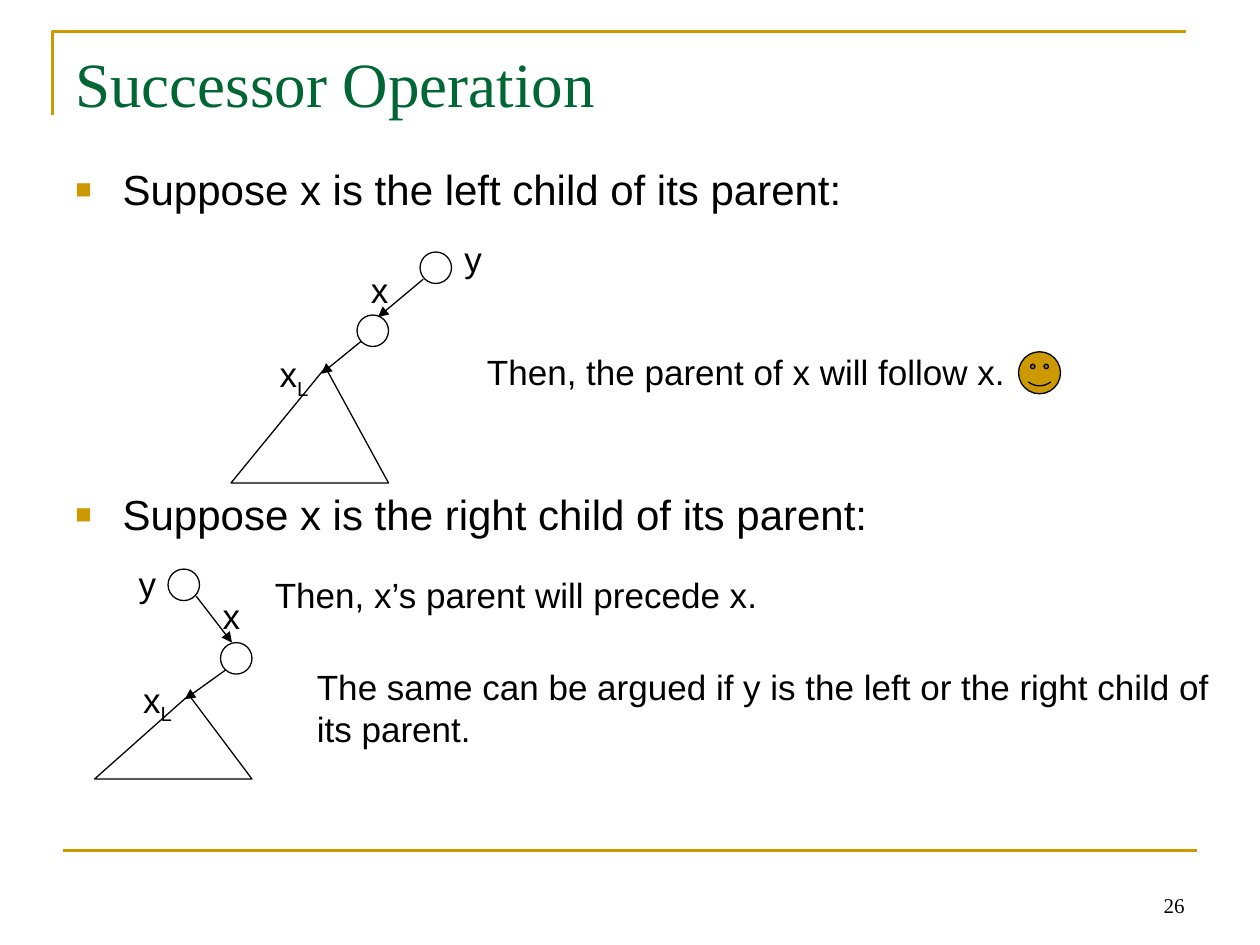
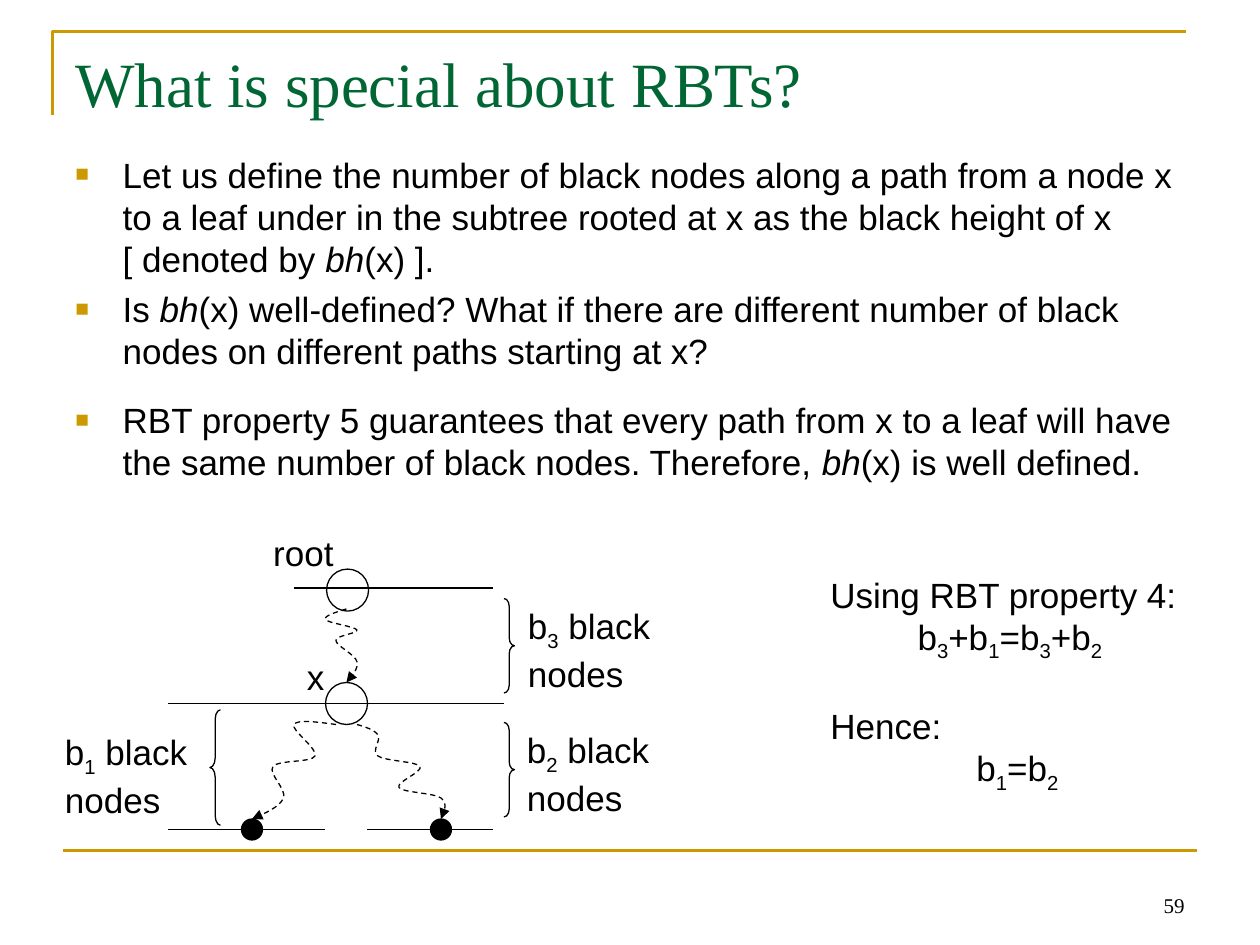
from dataclasses import dataclass

from lxml.etree import SubElement
from pptx import Presentation
from pptx.dml.color import RGBColor
from pptx.enum.dml import MSO_LINE
from pptx.enum.shapes import MSO_CONNECTOR, MSO_SHAPE
from pptx.enum.text import MSO_ANCHOR, PP_ALIGN
from pptx.oxml.ns import qn
from pptx.util import Emu, Pt

PX = 7620  # EMU per px: 120 px to the inch


@dataclass(frozen=True)
class Theme:
    ink: str = "000000"
    gold: str = "CC9900"
    green: str = "006633"
    serif: str = "Times New Roman"
    sans: str = "Arial"
    title_pt: int = 36
    head_pt: int = 24
    text_pt: int = 20
    number_pt: int = 12
    thin_pt: float = 0.75
    band_pt: float = 1.5


def px(*lengths):
    return [Emu(round(n * PX)) for n in lengths]


def smooth(knots, steps=8):
    """Points of a spline through the knots, with relaxed ends."""
    def inner(i, sign):
        (ax, ay), (bx, by), (cx, cy) = knots[i - 1:i + 2]
        return bx + sign * (cx - ax) / 6, by + sign * (cy - ay) / 6

    def middle(a, b):
        return (a[0] + b[0]) / 2, (a[1] + b[1]) / 2

    points, last = [knots[0]], len(knots) - 2
    for i, (p0, p3) in enumerate(zip(knots, knots[1:])):
        p1 = inner(i, 1) if i else middle(p0, inner(1, -1))
        p2 = inner(i + 1, -1) if i < last else middle(p1, p3)
        for k in range(1, steps + 1):
            t = k / steps
            u = 1 - t
            points.append(tuple(
                u**3 * a + 3 * u * u * t * b + 3 * u * t * t * c + t**3 * d
                for a, b, c, d in zip(p0, p1, p2, p3)))
    return points


class Deck:
    def __init__(self, theme):
        self.t = theme
        self.prs = Presentation()
        self.prs.slide_width, self.prs.slide_height = px(1200, 900)
        self.s = None

    def slide(self, title, number):
        """Start a slide with its frame, title and page number."""
        t = self.t
        self.s = self.prs.slides.add_slide(self.prs.slide_layouts[6])
        self.path_line([(50, 110), (50, 30), (1130, 30)], t.gold, t.band_pt)
        self.line((60, 810), (1140, 810), t.gold, t.band_pt)
        self.text([str(number)], (860, 820, 280, 60), t.number_pt, font=t.serif,
                  align=PP_ALIGN.RIGHT, anchor=MSO_ANCHOR.BOTTOM)
        self.text([title], (60, 36, 1080, 150), t.title_pt, font=t.serif, color=t.green)

    # Text
    def add_runs(self, p, text, size, font, color):
        """Pieces are split by |; _ starts a subscript, / italics, \\n is a break."""
        for piece in text.split("|"):
            if piece == "\n":
                p.add_line_break()
                continue
            r = p.add_run()
            r.text = piece.lstrip("_/")
            r.font.size, r.font.name = Pt(size), font
            r.font.color.rgb = RGBColor.from_string(color)
            if piece.startswith("/"):
                r.font.italic = True
            elif piece.startswith("_"):
                r.font._element.set("baseline", "-25000")

    def text(self, lines, box, size=None, font=None, color=None, wrap=True,
             align=PP_ALIGN.LEFT, anchor=MSO_ANCHOR.TOP):
        t = self.t
        tf = self.s.shapes.add_textbox(*px(*box)).text_frame
        tf.word_wrap, tf.vertical_anchor = wrap, anchor
        for i, line in enumerate(lines):
            p = tf.add_paragraph() if i else tf.paragraphs[0]
            p.alignment = align
            self.add_runs(p, line, size or t.text_pt, font or t.sans, color or t.ink)
        return tf

    def label(self, text, x, y, w=41, h=53):
        self.text([text], (x, y, w, h), wrap=False, align=PP_ALIGN.CENTER)

    def indent(self, p, left, first=0):
        left, first = px(left, first)
        pPr = p._p.get_or_add_pPr()
        pPr.set("marL", str(left))
        pPr.set("indent", str(first))
        return pPr

    def bullets(self, lines, gaps, box, size):
        tf = self.text(lines, box, size)
        for p, gap in zip(tf.paragraphs, gaps):
            pPr = self.indent(p, 45, -45)
            SubElement(SubElement(pPr, qn("a:buClr")), qn("a:srgbClr"), val=self.t.gold)
            SubElement(pPr, qn("a:buSzPct"), val="65000")
            SubElement(pPr, qn("a:buFont"), typeface=self.t.sans)
            SubElement(pPr, qn("a:buChar"), char="■")
            p.space_before = Pt(gap)

    # Lines and shapes
    def stroke(self, sp, color=None, width=None, arrow=False, dash=False):
        sp.line.color.rgb = RGBColor.from_string(color or self.t.ink)
        sp.line.width = Pt(width or self.t.thin_pt)
        if dash:
            sp.line.dash_style = MSO_LINE.DASH
        if arrow:
            SubElement(sp.line._get_or_add_ln(), qn("a:tailEnd"), type="triangle")

    def line(self, start, end, color=None, width=None, arrow=False):
        sp = self.s.shapes.add_connector(MSO_CONNECTOR.STRAIGHT, *px(*start, *end))
        self.stroke(sp, color, width, arrow)
        SubElement(sp._element.spPr, qn("a:effectLst"))

    def path_line(self, points, color=None, width=None, close=False, **ends):
        first, *rest = [px(*point) for point in points]
        builder = self.s.shapes.build_freeform(*first)
        builder.add_line_segments(rest, close=close)
        sp = builder.convert_to_shape()
        sp.shadow.inherit = False
        sp.fill.background()
        self.stroke(sp, color, width, **ends)

    def shape(self, kind, x, y, w, h, fill=None):
        sp = self.s.shapes.add_shape(kind, *px(x, y, w, h))
        sp.shadow.inherit = False
        if fill:
            sp.fill.solid()
            sp.fill.fore_color.rgb = RGBColor.from_string(fill)
        else:
            sp.fill.background()
        self.stroke(sp)
        return sp

    def circle(self, x, y, size, fill=None):
        self.shape(MSO_SHAPE.OVAL, x, y, size, size, fill)

    def brace(self, kind, x, y, h, bend):
        self.shape(kind, x, y, 10, h).adjustments[0] = bend

    def tree(self, nodes, arrows, subtree, labels):
        for x, y in nodes:
            self.circle(x, y, 30)
        for start, end in arrows:
            self.line(start, end, arrow=True)
        self.path_line(subtree, close=True)
        x_at, y_at, left_at = labels
        self.label("x", *x_at)
        self.label("y", *y_at)
        self.label("x|_L", *left_at, 52, 58)


def successor(deck):
    t = deck.t
    deck.slide("Successor Operation", 26)
    deck.bullets(["Suppose x is the left child of its parent:",
                  "Suppose x is the right child of its parent:"],
                 [0, 157], (60, 150, 1080, 594), t.head_pt)

    # x as a left child
    deck.tree(nodes=[(340, 300), (400, 240)],
              arrows=[((403, 266), (360, 302)), ((344, 325), (306, 356))],
              subtree=[(310, 350), (220, 460), (370, 460)],
              labels=[(341, 250), (430, 220), (254, 330)])
    deck.text(["Then, the parent of x will follow x."], (452, 328, 618, 53))
    deck.shape(MSO_SHAPE.SMILEY_FACE, 970, 335, 40, 40, t.gold)

    # x as a right child
    deck.tree(nodes=[(210, 612), (160, 542)],
              arrows=[((187, 568), (221, 612)), ((215, 638), (176, 666))],
              subtree=[(180, 662), (90, 742), (240, 742)],
              labels=[(200, 560), (120, 530), (124, 640)])
    deck.text(["Then, x’s parent will precede x."], (250, 540, 490, 53))
    deck.text(["The same can be argued if y is the left or the right child of its parent."],
              (290, 628, 880, 92))


def black_height(deck):
    t = deck.t
    deck.slide("What is special about RBTs?", 59)
    deck.bullets([
        "Let us define the number of black nodes along a path from a node x to a leaf "
        "under in the subtree rooted at x as the black height of x|\n|"
        "[ denoted by |/bh|(x) ].",
        "Is |/bh|(x) well-defined? What if there are different number of black nodes "
        "on different paths starting at x?",
        "RBT property 5 guarantees that every path from x to a leaf will have the same "
        "number of black nodes. Therefore, |/bh|(x) is well defined.",
    ], [0, 5, 15], (60, 140, 1080, 595), t.text_pt)

    # Nodes
    deck.circle(310, 650, 40)
    deck.label("x", 280, 618)
    deck.circle(311, 542, 40)
    deck.label("root", 248, 500, 82)
    for leaf_x in (230, 410):
        deck.circle(leaf_x, 780, 20, t.ink)

    # Winding paths: x to each leaf, root to x
    for knots in (
        [(320, 690), (280, 690), (300, 720), (260, 730), (270, 760), (240, 780)],
        [(340, 690), (360, 700), (360, 720), (400, 730), (380, 750), (420, 760), (420, 780)],
        [(330, 580), (310, 590), (340, 600), (320, 610), (340, 630), (330, 650)],
    ):
        deck.path_line(smooth(knots), arrow=True, dash=True)

    # Level lines
    for left, right, y in ((160, 480, 670), (160, 310, 790), (350, 470, 790), (280, 470, 560)):
        deck.line((left, y), (right, y))

    # Braces and black-node counts
    deck.brace(MSO_SHAPE.RIGHT_BRACE, 480, 570, 90, 0.75)
    deck.brace(MSO_SHAPE.RIGHT_BRACE, 480, 688, 90, 0.75)
    deck.brace(MSO_SHAPE.LEFT_BRACE, 200, 676, 110, 0.92)
    for index, x, y in ((3, 491, 570), (2, 490, 688), (1, 50, 690)):
        deck.text([f"b|_{index}| black", "nodes"], (x, y, 150, 98), wrap=False)

    # Conclusion
    tf = deck.text(["Using RBT property 4:", "b|_3|+b|_1|=b|_3|+b|_2", "Hence:", "b|_1|=b|_2"],
                   (779, 540, 354, 223), wrap=False)
    _, total, hence, result = tf.paragraphs
    deck.indent(total, 83)
    hence.space_before = Pt(24)
    deck.indent(result, 139)


def main():
    deck = Deck(Theme())
    successor(deck)
    black_height(deck)
    deck.prs.save("out.pptx")


if __name__ == "__main__":
    main()
